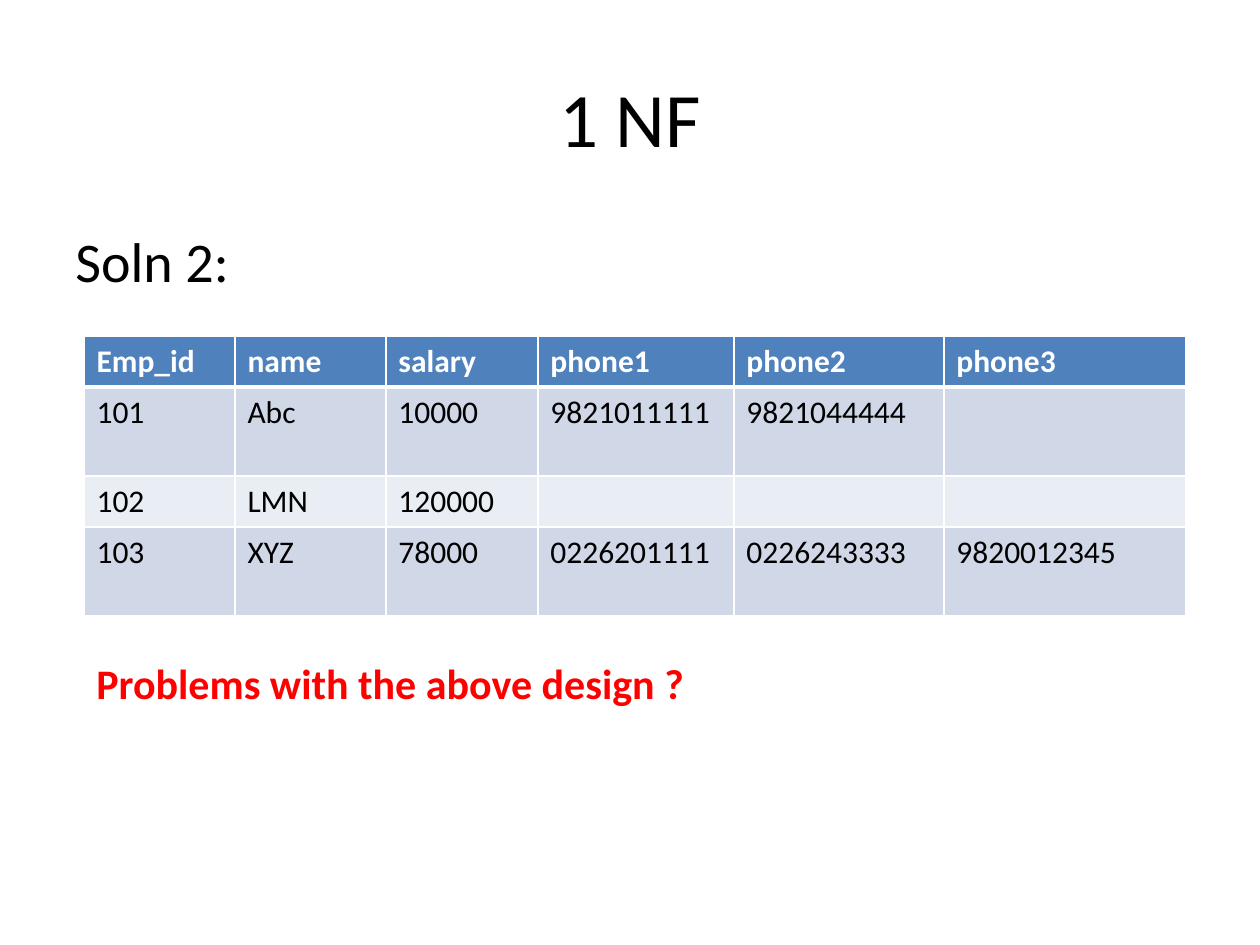
import dataclasses

import pptx
import pptx.dml.color
import pptx.enum.text
import pptx.oxml
import pptx.oxml.ns
import pptx.util

EMU_PER_PX = 914400 // 126
ALIGN = pptx.enum.text.PP_ALIGN
ANCHOR = pptx.enum.text.MSO_ANCHOR


@dataclasses.dataclass(frozen=True)
class Theme:
    """Colours, font and type sizes of the slide."""
    font: str = "Calibri"
    ink: str = "000000"
    white: str = "FFFFFF"
    alert: str = "FF0000"
    header: str = "4F81BD"
    bands: tuple[str, str] = ("D0D8E8", "E9EDF4")
    title_size: int = 44
    body_size: int = 32
    note_size: int = 24
    cell_size: int = 18
    rule: int = 1
    header_rule: int = 3


@dataclasses.dataclass(frozen=True)
class Box:
    """A place on the slide in pixels."""
    left: int
    top: int
    width: int
    height: int

    def emu(self) -> tuple[int, ...]:
        """Return the place in EMU."""
        return tuple(px(v) for v in dataclasses.astuple(self))


@dataclasses.dataclass(frozen=True)
class Label:
    """A text box holding one line."""
    text: str
    box: Box
    size: int
    color: str
    bold: bool = False
    wrap: bool = True


THEME = Theme()
TITLE_BOX = Box(63, 38, 1134, 157)
LABELS = (
    Label("Soln 2:", Box(63, 220, 1134, 624), THEME.body_size, THEME.ink),
    Label("Problems with the above design ?", Box(84, 651, 619, 63),
          THEME.note_size, THEME.alert, bold=True, wrap=False),
)
COLUMNS = (151, 151, 152, 196, 210, 242)
ROW_HEIGHTS = (50, 89, 51, 89)
TABLE_BOX = Box(84, 336, sum(COLUMNS), sum(ROW_HEIGHTS))
EMPLOYEES = (
    ("Emp_id", "name", "salary", "phone1", "phone2", "phone3"),
    ("101", "Abc", "10000", "9821011111", "9821044444", ""),
    ("102", "LMN", "120000", "", "", ""),
    ("103", "XYZ", "78000", "0226201111", "0226243333", "9820012345"),
)


def px(value: int) -> int:
    """Turn picture pixels into EMU."""
    return value * EMU_PER_PX


def rgb(color: str) -> pptx.dml.color.RGBColor:
    """Turn a hex string into a colour."""
    return pptx.dml.color.RGBColor.from_string(color)


def write(tf, text: str, size: int, color: str, bold: bool = False,
          align=ALIGN.LEFT) -> None:
    """Put one formatted paragraph into a text frame."""
    tf.text = text
    p = tf.paragraphs[0]
    p.alignment = align
    p.font.name = THEME.font
    p.font.size = pptx.util.Pt(size)
    p.font.bold = bold
    p.font.color.rgb = rgb(color)


def add_title(s, text: str) -> None:
    """Place and format the title placeholder."""
    sp = s.shapes.title
    sp.left, sp.top, sp.width, sp.height = TITLE_BOX.emu()
    sp.text_frame.vertical_anchor = ANCHOR.MIDDLE
    write(sp.text_frame, text, THEME.title_size, THEME.ink, align=ALIGN.CENTER)


def add_label(s, label: Label) -> None:
    """Add a text box."""
    tf = s.shapes.add_textbox(*label.box.emu()).text_frame
    tf.word_wrap = label.wrap
    write(tf, label.text, label.size, label.color, label.bold)


def set_borders(cell, top: int, bottom: int) -> None:
    """Draw white cell borders; widths are in points."""
    tc_pr = cell._tc.get_or_add_tcPr()
    widths = {"L": THEME.rule, "R": THEME.rule, "T": top, "B": bottom}
    for side, width in widths.items():
        tc_pr.append(pptx.oxml.parse_xml(
            f'<a:ln{side} {pptx.oxml.ns.nsdecls("a")} w="{pptx.util.Pt(width)}">'
            f'<a:solidFill><a:srgbClr val="{THEME.white}"/></a:solidFill>'
            f'</a:ln{side}>'))


def add_employee_table(s) -> None:
    """Add the table with a header and banded rows."""
    table = s.shapes.add_table(
        len(EMPLOYEES), len(COLUMNS), *TABLE_BOX.emu()).table
    for column, width in zip(table.columns, COLUMNS):
        column.width = px(width)
    for i, (values, height) in enumerate(zip(EMPLOYEES, ROW_HEIGHTS)):
        table.rows[i].height = px(height)
        header = i == 0
        fill = THEME.header if header else THEME.bands[(i - 1) % 2]
        color = THEME.white if header else THEME.ink
        top = THEME.header_rule if i == 1 else THEME.rule
        bottom = THEME.header_rule if header else THEME.rule
        for j, value in enumerate(values):
            cell = table.cell(i, j)
            set_borders(cell, top, bottom)
            cell.fill.solid()
            cell.fill.fore_color.rgb = rgb(fill)
            write(cell.text_frame, value, THEME.cell_size, color, header)


def main() -> None:
    """Build and save the slide."""
    prs = pptx.Presentation()
    prs.slide_width, prs.slide_height = px(1260), px(945)
    s = prs.slides.add_slide(prs.slide_layouts.get_by_name("Title Only"))
    add_title(s, "1 NF")
    add_employee_table(s)
    for label in LABELS:
        add_label(s, label)
    prs.save("out.pptx")


main()
